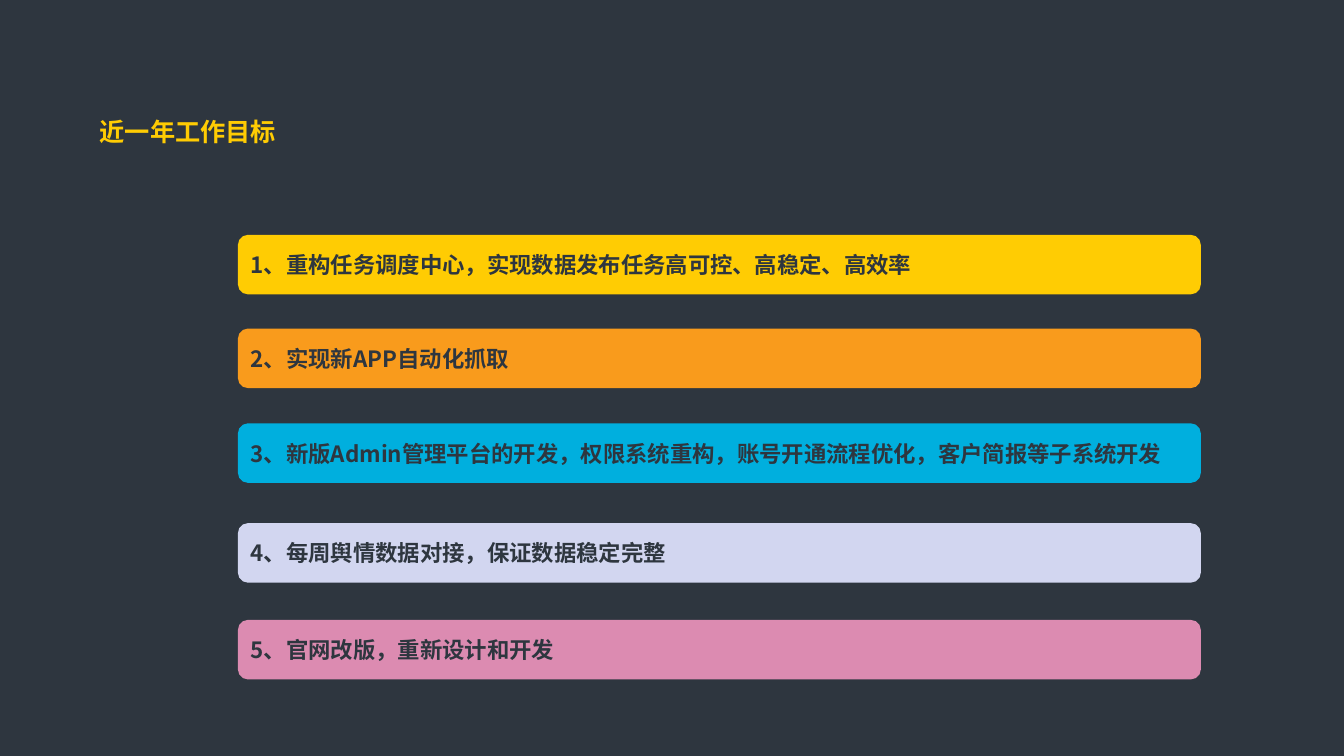
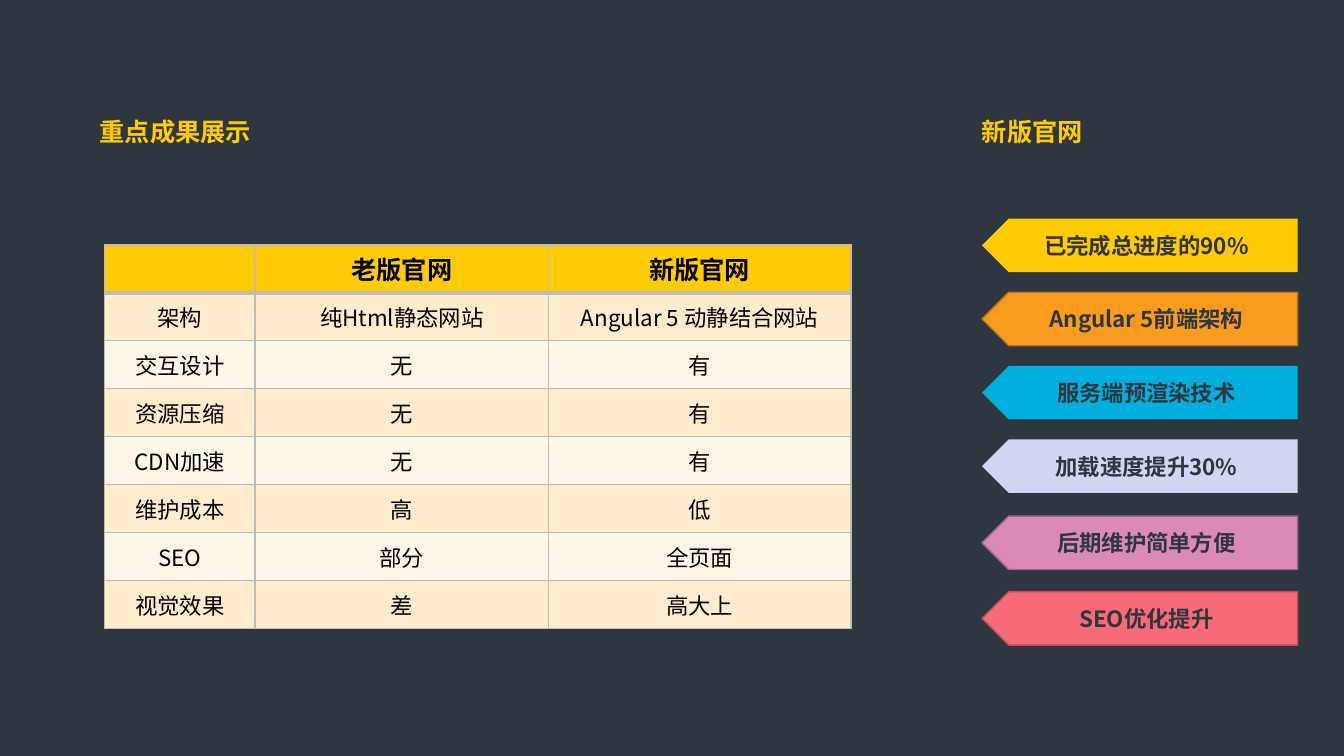
from lxml import etree
from pptx import Presentation
from pptx.dml.color import RGBColor
from pptx.enum.shapes import MSO_SHAPE
from pptx.enum.text import MSO_ANCHOR, PP_ALIGN
from pptx.oxml.ns import qn
from pptx.util import Inches, Pt

ROUNDED, ARROW = MSO_SHAPE.ROUNDED_RECTANGLE, MSO_SHAPE.PENTAGON
LEFT, CENTER = PP_ALIGN.LEFT, PP_ALIGN.CENTER
TOP, MIDDLE = MSO_ANCHOR.TOP, MSO_ANCHOR.MIDDLE

FONT = "Noto Sans CJK SC"
COLORS = {
    "dark": "2E363F", "black": "000000", "yellow": "FFCC03",
    "orange": "F99B1C", "orange_edge": "B87315", "blue": "00AFDE",
    "lilac": "D2D6F0", "pink": "DC8BB1", "soft_pink": "DB8BB1",
    "pink_edge": "A26783", "coral": "F86A78", "coral_edge": "B74E59",
    "grid": "BCBCBC", "band_deep": "FFECCC", "band_light": "FFF6E7",
}

# Content: (text, top, fill[, edge])
GOALS = [
    ("1、重构任务调度中心，实现数据发布任务高可控、高稳定、高效率", 2.33, "yellow"),
    ("2、实现新APP自动化抓取", 3.26, "orange"),
    ("3、新版Admin管理平台的开发，权限系统重构，账号开通流程优化，客户简报等子系统开发",
     4.2, "blue"),
    ("4、每周舆情数据对接，保证数据稳定完整", 5.19, "lilac"),
    ("5、官网改版，重新设计和开发", 6.15, "pink"),
]
HIGHLIGHTS = [
    ("已完成总进度的90%", 2.17, "yellow", None),
    ("Angular 5前端架构", 2.9, "orange", "orange_edge"),
    ("服务端预渲染技术", 3.63, "blue", None),
    ("加载速度提升30%", 4.36, "lilac", None),
    ("后期维护简单方便", 5.12, "soft_pink", "pink_edge"),
    ("SEO优化提升", 5.87, "coral", "coral_edge"),
]
COMPARISON = [
    ("", "老版官网", "新版官网"),
    ("架构", "纯Html静态网站", "Angular 5 动静结合网站"),
    ("交互设计", "无", "有"),
    ("资源压缩", "无", "有"),
    ("CDN加速", "无", "有"),
    ("维护成本", "高", "低"),
    ("SEO", "部分", "全页面"),
    ("视觉效果", "差", "高大上"),
]


def rgb(name):
    return RGBColor.from_string(COLORS[name])


def write(frame, text, size=16, color="dark", bold=True, align=LEFT,
          anchor=MIDDLE, spacing=None):
    """Fill a text frame with one formatted run and return the run."""
    frame.word_wrap = True
    frame.vertical_anchor = anchor
    paragraph = frame.paragraphs[0]
    paragraph.alignment = align
    if spacing:
        paragraph.line_spacing = spacing
    run = paragraph.add_run()
    run.text = text
    run.font.size, run.font.bold, run.font.name = Pt(size), bold, FONT
    run.font.color.rgb = rgb(color)
    etree.SubElement(run.font._element, qn("a:ea"), typeface=FONT)
    return run


def add_text_shadow(run):
    effects = etree.Element(qn("a:effectLst"))
    shadow = etree.SubElement(effects, qn("a:outerShdw"), blurRad="38100",
                              dist="38100", dir="2700000", algn="tl")
    black = etree.SubElement(shadow, qn("a:srgbClr"), val=COLORS["black"])
    etree.SubElement(black, qn("a:alpha"), val="43000")
    run.font._element.find(qn("a:solidFill")).addnext(effects)


def add_slide(prs):
    slide = prs.slides.add_slide(prs.slide_layouts[6])
    slide.background.fill.solid()
    slide.background.fill.fore_color.rgb = rgb("dark")
    return slide


def add_title(slide, text, left=0.89, width=11.53):
    box = slide.shapes.add_textbox(Inches(left), Inches(1.14),
                                   Inches(width), Inches(0.33))
    run = write(box.text_frame, text, size=18, color="yellow", anchor=TOP,
                spacing=0.9)
    add_text_shadow(run)


def add_banner(slide, kind, text, left, top, width, height, fill,
               edge=None, align=LEFT):
    banner = slide.shapes.add_shape(kind, Inches(left), Inches(top),
                                    Inches(width), Inches(height))
    banner.shadow.inherit = False
    banner.fill.solid()
    banner.fill.fore_color.rgb = rgb(fill)
    if edge:
        banner.line.color.rgb = rgb(edge)
        banner.line.width = Pt(1)
    else:
        banner.line.fill.background()
    write(banner.text_frame, text, align=align)
    return banner


def set_borders(cell, bottom):
    properties = cell._tc.get_or_add_tcPr()
    for side, width in (("L", 1), ("R", 1), ("T", 1), ("B", bottom)):
        line = etree.SubElement(properties, qn(f"a:ln{side}"), w=str(Pt(width)))
        fill = etree.SubElement(line, qn("a:solidFill"))
        etree.SubElement(fill, qn("a:srgbClr"), val=COLORS["grid"])


def add_comparison(slide, left, top, column_widths, height):
    table = slide.shapes.add_table(
        len(COMPARISON), len(column_widths), Inches(left), Inches(top),
        Inches(sum(column_widths)), Inches(height)).table
    for column, width in zip(table.columns, column_widths):
        column.width = Inches(width)
    for r, entries in enumerate(COMPARISON):
        header = r == 0
        fill = "yellow" if header else ("band_light", "band_deep")[r % 2]
        for c, entry in enumerate(entries):
            cell = table.cell(r, c)
            set_borders(cell, bottom=3 if header else 1)
            cell.fill.solid()
            cell.fill.fore_color.rgb = rgb(fill)
            cell.vertical_anchor = MIDDLE
            if entry:
                write(cell.text_frame, entry, size=18 if header else 16,
                      color="black", bold=header, align=CENTER)


def build_goals(prs):
    slide = add_slide(prs)
    add_title(slide, "近一年工作目标")
    for text, top, fill in GOALS:
        add_banner(slide, ROUNDED, text, 2.36, top, 9.55, 0.59, fill)


def build_results(prs):
    slide = add_slide(prs)
    add_title(slide, "重点成果展示", width=8)
    add_title(slide, "新版官网", left=9.64, width=2.78)
    for text, top, fill, edge in HIGHLIGHTS:
        arrow = add_banner(slide, ARROW, text, 9.74, top, 3.13, 0.53, fill,
                           edge=edge, align=CENTER)
        arrow.element.spPr.find(qn("a:xfrm")).set("flipH", "1")
    add_comparison(slide, 1.04, 2.43, (1.49, 2.91, 3), 3.81)


def main():
    prs = Presentation()
    prs.slide_width, prs.slide_height = Inches(13.33), Inches(7.5)
    build_goals(prs)
    build_results(prs)
    prs.save("out.pptx")


main()
